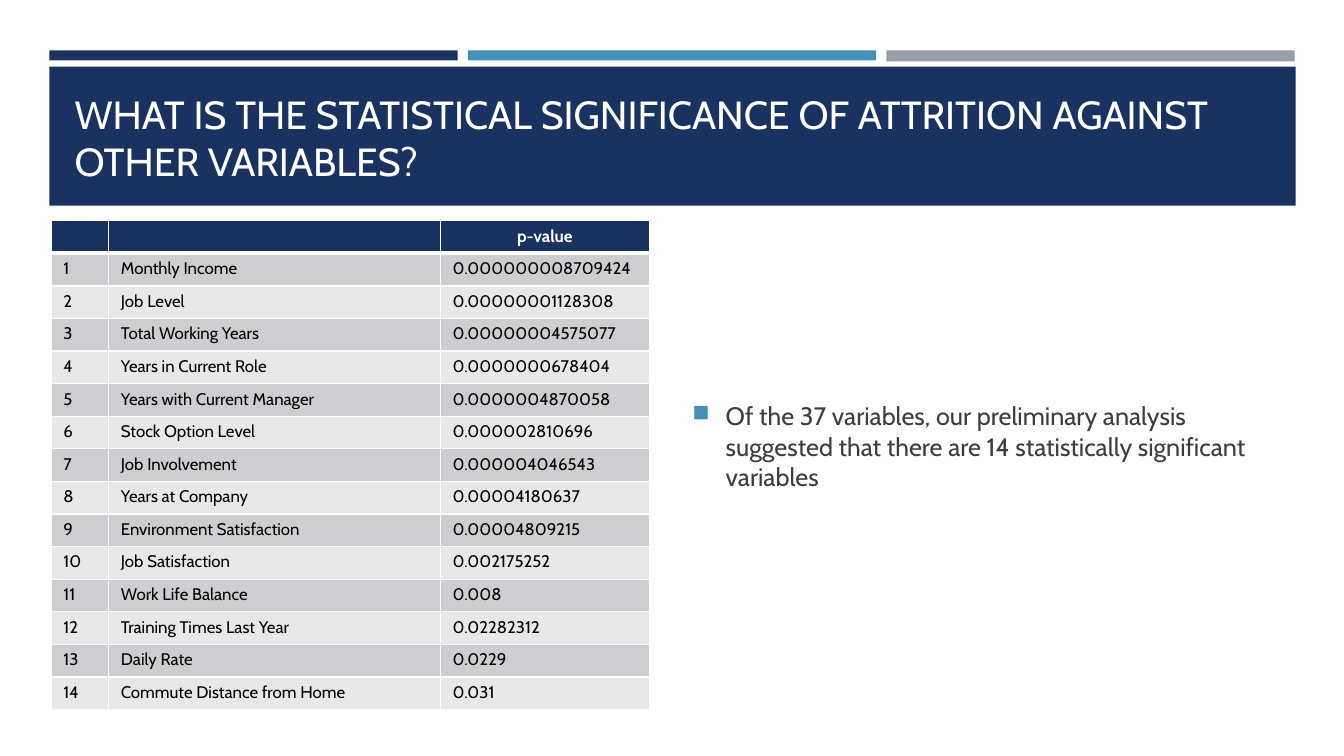
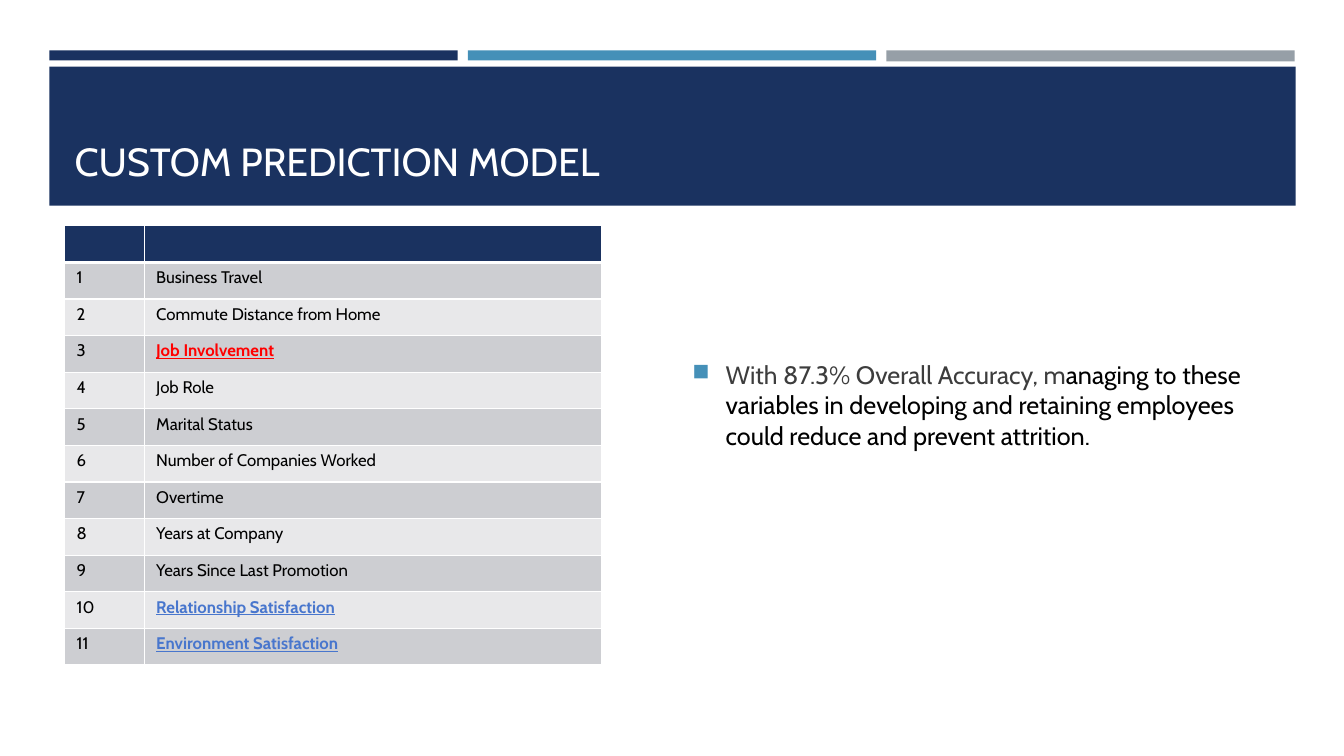
from lxml import etree
from pptx import Presentation
from pptx.dml.color import RGBColor
from pptx.enum import shapes, text
from pptx.oxml import ns
from pptx.util import Inches, Pt

FONT = "Cabin"
COLORS = {
    "navy": "1A3260", "blue": "4590B8", "gray": "969FA7", "white": "FFFFFF",
    "black": "000000", "body": "3D3D3D", "odd": "CDCED2", "even": "E8E8EA",
    "red": "FF0000", "link": "4876CD",
}
BANDS = [
    ("navy", 0.49, 0.5, 4.05, 0.1),
    ("blue", 4.64, 0.5, 4.05, 0.1),
    ("gray", 8.79, 0.5, 4.05, 0.11),
    ("navy", 0.49, 0.66, 12.36, 1.38),
]
TITLE_BOX = (0.64, 0.8, 12.06, 1.08)

PLAIN = {"size": Pt(12), "color": "black"}
HEADER = {"size": Pt(12), "color": "white", "bold": True}
TITLE = {"size": Pt(28), "color": "white"}
EMPHASIS = {
    "Job Involvement": "red",
    "Relationship Satisfaction": "link",
    "Environment Satisfaction": "link",
}

SLIDES = [
    {
        "title": "WHAT IS THE STATISTICAL SIGNIFICANCE OF ATTRITION AGAINST OTHER VARIABLES?",
        "table_box": (0.51, 2.19, 5.93, 4.85),
        "columns": (0.57, 3.29, 2.07),
        "header": ("", "", "p-value"),
        "rows": [
            ("Monthly Income", "0.000000008709424"),
            ("Job Level", "0.00000001128308"),
            ("Total Working Years", "0.00000004575077"),
            ("Years in Current Role", "0.0000000678404"),
            ("Years with Current Manager", "0.0000004870058"),
            ("Stock Option Level", "0.000002810696"),
            ("Job Involvement", "0.000004046543"),
            ("Years at Company", "0.00004180637"),
            ("Environment Satisfaction", "0.00004809215"),
            ("Job Satisfaction", "0.002175252"),
            ("Work Life Balance", "0.008"),
            ("Training Times Last Year", "0.02282312"),
            ("Daily Rate", "0.0229"),
            ("Commute Distance from Home", "0.031"),
        ],
        "emphasis": {},
        "body_box": (6.77, 2.44, 5.93, 3.97),
        "body": [
            ("Of the 37 variables, our preliminary analysis suggested that there are "
             "14 statistically significant variables", "body"),
        ],
    },
    {
        "title": "CUSTOM PREDICTION MODEL",
        "table_box": (0.64, 2.24, 5.33, 4.36),
        "columns": (0.79, 4.54),
        "header": ("", ""),
        "rows": [
            ("Business Travel",),
            ("Commute Distance from Home",),
            ("Job Involvement",),
            ("Job Role",),
            ("Marital Status",),
            ("Number of Companies Worked",),
            ("Overtime",),
            ("Years at Company",),
            ("Years Since Last Promotion",),
            ("Relationship Satisfaction",),
            ("Environment Satisfaction",),
        ],
        "emphasis": EMPHASIS,
        "body_box": (6.77, 2.44, 5.93, 3.15),
        "body": [
            ("With 87.3% Overall Accuracy, m", "body"),
            ("anaging to these variables in developing and retaining employees "
             "could reduce and prevent attrition.", "black"),
        ],
    },
]


def rgb(name):
    return RGBColor.from_string(COLORS[name])


def inches(box):
    return [Inches(length) for length in box]


def add_child(parent, tag, **attributes):
    return etree.SubElement(parent, ns.qn(tag), **attributes)


def add_span(para, words, style):
    span = para.add_run()
    span.text = words
    span.font.name = FONT
    for name, value in style.items():
        if name == "color":
            span.font.color.rgb = rgb(value)
        else:
            setattr(span.font, name, value)


def set_up_layout(layout, page):
    """Draw the bands on a page, then move them to the layout for all slides."""
    for holder in list(layout.placeholders):
        if holder.placeholder_format.type == shapes.PP_PLACEHOLDER.TITLE:
            holder.left, holder.top, holder.width, holder.height = inches(TITLE_BOX)
        else:
            layout.shapes.element.remove(holder.element)
    for index, (color, *place) in enumerate(BANDS):
        band = page.shapes.add_shape(shapes.MSO_SHAPE.RECTANGLE, *inches(place))
        band.shadow.inherit = False
        band.fill.solid()
        band.fill.fore_color.rgb = rgb(color)
        band.line.fill.background()
        layout.shapes.element.insert(2 + index, band.element)


def fill_title(page, words):
    title = page.shapes.title
    title.left, title.top, title.width, title.height = inches(TITLE_BOX)
    frame = title.text_frame
    frame.word_wrap = True
    frame.auto_size = text.MSO_AUTO_SIZE.NONE
    frame.vertical_anchor = text.MSO_ANCHOR.BOTTOM
    para = frame.paragraphs[0]
    para.alignment = text.PP_ALIGN.LEFT
    add_span(para, words, TITLE)


def set_borders(cell, top, bottom):
    """White cell borders; top and bottom widths in points, sides 1 point."""
    properties = cell._tc.get_or_add_tcPr()
    for tag, width in (("a:lnL", 1), ("a:lnR", 1), ("a:lnT", top), ("a:lnB", bottom)):
        line = add_child(properties, tag, w=str(Pt(width)))
        add_child(add_child(line, "a:solidFill"), "a:srgbClr", val=COLORS["white"])


def fill_cell(cell, words, style, color, top, bottom):
    set_borders(cell, top, bottom)
    cell.fill.solid()
    cell.fill.fore_color.rgb = rgb(color)
    cell.margin_left = cell.margin_right = Inches(0.12)
    cell.margin_top = cell.margin_bottom = Inches(0.05)
    para = cell.text_frame.paragraphs[0]
    if words:
        add_span(para, words, style)
    else:
        add_child(para._p, "a:endParaRPr", sz="1200")
    if style is HEADER:
        para.alignment = text.PP_ALIGN.CENTER


def add_variable_table(page, content):
    rows = [content["header"]]
    rows += [(str(number), *row) for number, row in enumerate(content["rows"], 1)]
    left, top, width, height = inches(content["table_box"])
    table = page.shapes.add_table(
        len(rows), len(content["columns"]), left, top, width, height).table
    for column, column_width in zip(table.columns, content["columns"]):
        column.width = Inches(column_width)
    for r, row in enumerate(rows):
        table.rows[r].height = height // len(rows)
        color = "navy" if r == 0 else ("odd" if r % 2 else "even")
        for c, words in enumerate(row):
            style = PLAIN if r else HEADER
            if words in content["emphasis"]:
                style = {**PLAIN, "color": content["emphasis"][words],
                         "bold": True, "underline": True}
            fill_cell(table.cell(r, c), words, style, color,
                      top=3 if r == 1 else 1, bottom=1 if r else 3)


def add_bullet_text(page, box, spans):
    frame = page.shapes.add_textbox(*inches(box)).text_frame
    frame.word_wrap = True
    frame.vertical_anchor = text.MSO_ANCHOR.MIDDLE
    para = frame.paragraphs[0]
    para.space_before, para.space_after = Pt(3.6), Pt(6)
    for words, color in spans:
        add_span(para, words, {"size": Pt(18), "color": color})
    properties = para._p.get_or_add_pPr()
    properties.set("marL", str(Inches(0.33)))
    properties.set("indent", str(-Inches(0.33)))
    add_child(add_child(properties, "a:buClr"), "a:srgbClr", val=COLORS["blue"])
    add_child(properties, "a:buSzPct", val="92000")
    add_child(properties, "a:buChar", char="■")


def main():
    deck = Presentation()
    deck.slide_width, deck.slide_height = Inches(13.33), Inches(7.5)
    layout = deck.slide_layouts.get_by_name("Title Only")
    pages = [deck.slides.add_slide(layout) for _ in SLIDES]
    set_up_layout(layout, pages[0])
    for page, content in zip(pages, SLIDES):
        fill_title(page, content["title"])
        add_variable_table(page, content)
        add_bullet_text(page, content["body_box"], content["body"])
    deck.save("out.pptx")


if __name__ == "__main__":
    main()
